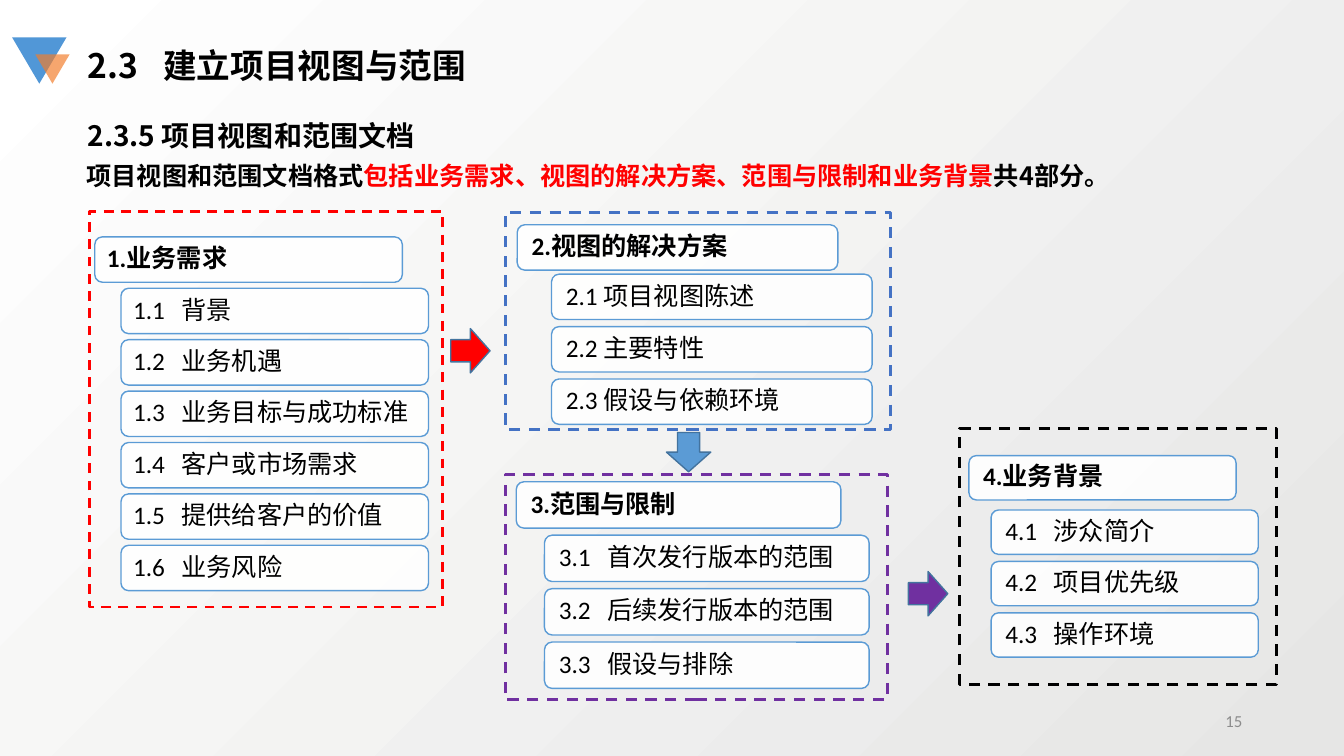
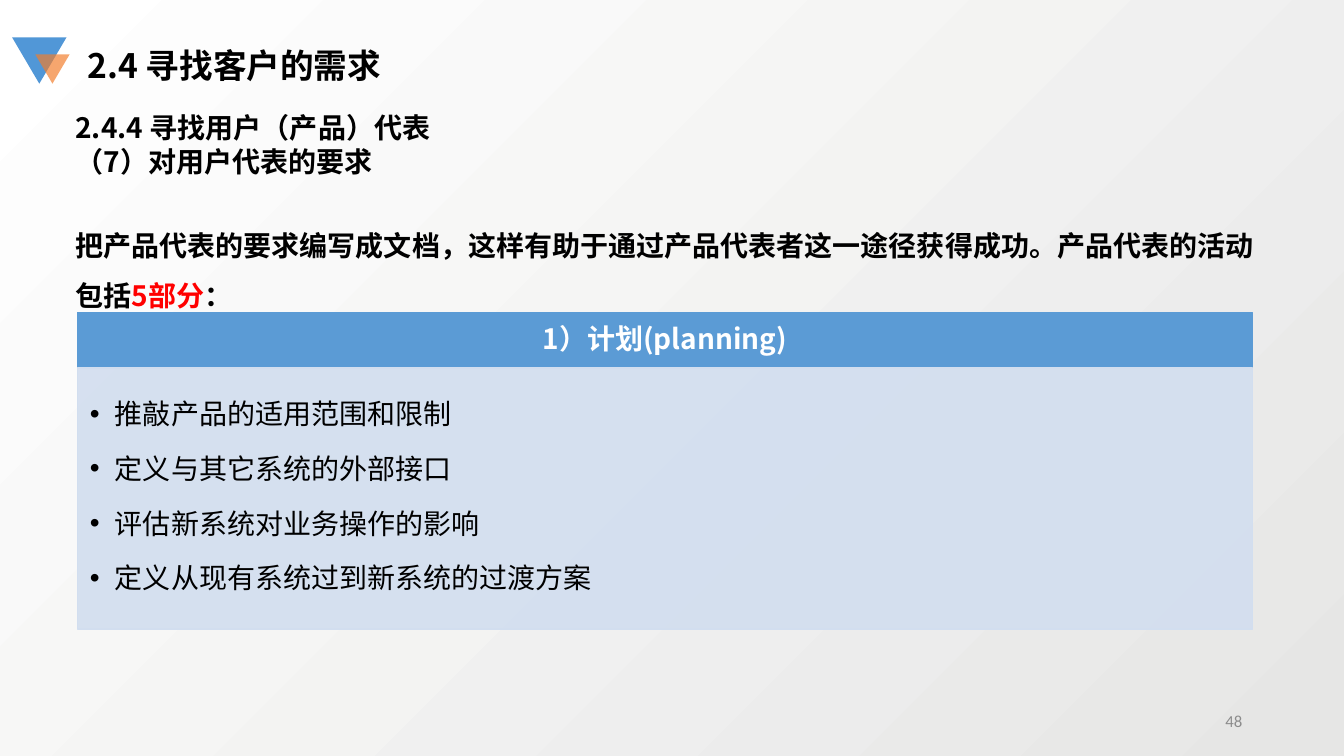
from dataclasses import dataclass

from lxml.etree import SubElement
from pptx import Presentation
from pptx.dml.color import RGBColor
from pptx.enum.dml import MSO_LINE_DASH_STYLE as Dash
from pptx.enum.shapes import MSO_SHAPE as Preset
from pptx.enum.text import MSO_ANCHOR as Anchor, MSO_AUTO_SIZE as AutoSize, PP_ALIGN as Align
from pptx.oxml.ns import qn
from pptx.util import Inches, Pt


@dataclass(frozen=True)
class Theme:
    heading_font: str = "Noto Sans CJK SC"
    box_font: str = "Calibri"
    title_size: int = 24
    heading_size: int = 20
    body_size: int = 18
    number_size: int = 12
    black: str = "000000"
    white: str = "FFFFFF"
    red: str = "FF0000"
    blue: str = "5B9BD5"
    frame_blue: str = "4472C4"
    purple: str = "7030A0"
    pale_blue: str = "D2DEEF"
    arrow_line: str = "43739E"
    logo_blue: str = "5197D7"
    logo_orange: str = "F37D2A"
    number_gray: str = "8C8C8C"
    background_gray: str = "E6E6E5"


THEME = Theme()


@dataclass(frozen=True)
class Section:
    frame: tuple
    color: str
    frame_width: float
    heading_at: tuple
    items_at: tuple
    pitch: float
    inset: float
    heading: str
    items: tuple


SECTIONS = (
    Section((0.89, 2.1, 3.5, 3.92), THEME.red, 1.75, (0.94, 2.35, 3.05, 0.45),
            (1.2, 2.86), 0.51, 0.1, "1.业务需求",
            ("1.1\t背景", "1.2\t业务机遇", "1.3\t业务目标与成功标准",
             "1.4\t客户或市场需求", "1.5\t提供给客户的价值", "1.6\t业务风险")),
    Section((5.01, 2.11, 3.82, 2.15), THEME.frame_blue, 2, (5.13, 2.23, 3.18, 0.45),
            (5.47, 2.72), 0.52, 0.12, "2.视图的解决方案",
            ("2.1 项目视图陈述", "2.2 主要特性", "2.3 假设与依赖环境")),
    Section((5.01, 4.71, 3.79, 2.23), THEME.purple, 2, (5.12, 4.78, 3.22, 0.46),
            (5.4, 5.31), 0.53, 0.12, "3.范围与限制",
            ("3.1\t首次发行版本的范围", "3.2\t后续发行版本的范围", "3.3\t假设与排除")),
    Section((9.52, 4.25, 3.14, 2.54), THEME.black, 2, (9.61, 4.52, 2.65, 0.44),
            (9.83, 5.06), 0.51, 0.12, "4.业务背景",
            ("4.1\t涉众简介", "4.2\t项目优先级", "4.3\t操作环境")),
)


class Deck:
    """Holds the theme and the current slide, and draws each kind of element."""

    def __init__(self, theme):
        self.theme = theme
        self.presentation = Presentation()
        self.presentation.slide_width = Inches(13.33)
        self.presentation.slide_height = Inches(7.5)
        self.slide = None
        fill = self.presentation.slide_master.background.fill
        fill.gradient()
        fill.gradient_angle = 135
        for stop, color in zip(fill.gradient_stops, (theme.background_gray, theme.white)):
            stop.color.rgb = RGBColor.from_string(color)

    def add_slide(self, title, number):
        theme = self.theme
        self.slide = self.presentation.slides.add_slide(self.presentation.slide_layouts[5])
        for at, color, opacity in (((0.12, 0.37, 0.54, 0.46), theme.logo_blue, 100),
                                   ((0.35, 0.54, 0.34, 0.29), theme.logo_orange, 68)):
            self.shape(Preset.ISOSCELES_TRIANGLE, at, color, opacity=opacity).rotation = 180
        placeholder = self.slide.shapes.title
        placeholder.left, placeholder.top, placeholder.width, placeholder.height = map(
            Inches, (0.77, 0.4, 5.78, 0.5))
        self.frame(placeholder, Anchor.TOP)
        self.add_runs(placeholder, [[(title, theme.black)]], theme.title_size, bold=True,
                      tab=0.75)
        self.text((9.42, 6.95, 3, 0.4), [[(number, theme.number_gray)]], theme.number_size,
                  font=theme.box_font, align=Align.RIGHT, anchor=Anchor.MIDDLE)

    def frame(self, shape, anchor, inset=(0.1, 0.05, 0.1, 0.05)):
        frame = shape.text_frame
        frame.word_wrap = True
        frame.auto_size = AutoSize.NONE
        frame.vertical_anchor = anchor
        (frame.margin_left, frame.margin_top,
         frame.margin_right, frame.margin_bottom) = map(Inches, inset)

    def add_runs(self, shape, paragraphs, size, font=None, bold=False, align=Align.LEFT,
                 spacing=1.0, after=0, bullet=False, tab=None):
        frame = shape.text_frame
        for index, runs in enumerate(paragraphs):
            paragraph = frame.paragraphs[0] if index == 0 else frame.add_paragraph()
            paragraph.alignment = align
            paragraph.line_spacing = spacing
            paragraph.space_before = Pt(0)
            paragraph.space_after = Pt(after)
            properties = paragraph._p.get_or_add_pPr()
            if bullet:
                properties.set("marL", str(Inches(0.25)))
                properties.set("indent", str(-Inches(0.25)))
                SubElement(properties, qn("a:buFont"), typeface="Arial")
                SubElement(properties, qn("a:buChar"), char="•")
            if tab and any("\t" in text for text, _ in runs):
                tabs = SubElement(properties, qn("a:tabLst"))
                SubElement(tabs, qn("a:tab"), pos=str(Inches(tab)), algn="l")
            for text, color in runs:
                run = paragraph.add_run()
                run.text = text
                run.font.size = Pt(size)
                run.font.bold = bold
                run.font.name = font or self.theme.heading_font
                run.font.color.rgb = RGBColor.from_string(color)
                SubElement(run._r.get_or_add_rPr(), qn("a:ea"),
                           typeface=self.theme.heading_font)

    def text(self, at, paragraphs, size, anchor=Anchor.TOP, **style):
        box = self.slide.shapes.add_textbox(*map(Inches, at))
        self.frame(box, anchor)
        self.add_runs(box, paragraphs, size, **style)

    def shape(self, preset, at, fill=None, line=None, width=1, opacity=100, dash=None):
        shape = self.slide.shapes.add_shape(preset, *map(Inches, at))
        shape.shadow.inherit = False
        if fill:
            shape.fill.solid()
            shape.fill.fore_color.rgb = RGBColor.from_string(fill)
            if opacity < 100:
                color = shape.element.spPr.find(qn("a:solidFill")).find(qn("a:srgbClr"))
                SubElement(color, qn("a:alpha"), val=str(opacity * 1000))
        else:
            shape.fill.background()
        if line:
            shape.line.color.rgb = RGBColor.from_string(line)
            shape.line.width = Pt(width)
            shape.line.dash_style = dash
        else:
            shape.line.fill.background()
        return shape

    def box(self, at, text, inset, bold=False):
        theme = self.theme
        box = self.shape(Preset.ROUNDED_RECTANGLE, at, theme.white, theme.blue, opacity=90)
        self.frame(box, Anchor.MIDDLE, (inset,) * 4)
        self.add_runs(box, [[(text, theme.black)]], theme.body_size, font=theme.box_font,
                      bold=bold, spacing=0.9, tab=0.48)

    def section(self, section):
        self.box(section.heading_at, section.heading, section.inset, bold=True)
        left, top = section.items_at
        for index, item in enumerate(section.items):
            at = (left, top + index * section.pitch, *section.heading_at[2:])
            self.box(at, item, section.inset)
        self.shape(Preset.RECTANGLE, section.frame, line=section.color,
                   width=section.frame_width, dash=Dash.DASH)

    def arrow(self, preset, at, color):
        self.shape(preset, at, color, self.theme.arrow_line)

    def panel(self, at, color, paragraphs, anchor, inset, opacity=100, **style):
        panel = self.shape(Preset.RECTANGLE, at, color, color, opacity=opacity)
        self.frame(panel, anchor, inset)
        self.add_runs(panel, paragraphs, self.theme.heading_size, **style)


def scope_document(deck):
    theme = deck.theme
    deck.add_slide("2.3\t建立项目视图与范围", "15")
    deck.text((0.77, 1.13, 8.49, 0.44), [[("2.3.5 项目视图和范围文档", theme.black)]],
              theme.heading_size, bold=True)
    deck.text((0.76, 1.54, 11.06, 0.4),
              [[("项目视图和范围文档格式", theme.black),
                ("包括业务需求、视图的解决方案、范围与限制和业务背景", theme.red),
                ("共4部分。", theme.black)]], theme.body_size, bold=True)
    for section in SECTIONS:
        deck.section(section)
    deck.arrow(Preset.RIGHT_ARROW, (4.47, 3.26, 0.39, 0.44), theme.red)
    deck.arrow(Preset.DOWN_ARROW, (6.61, 4.29, 0.44, 0.39), theme.blue)
    deck.arrow(Preset.RIGHT_ARROW, (9.01, 5.67, 0.39, 0.44), theme.purple)


def user_representatives(deck):
    theme = deck.theme
    deck.add_slide("2.4 寻找客户的需求", "48")
    deck.text((0.65, 1.05, 9.19, 0.77),
              [[("2.4.4 寻找用户（产品）代表", theme.black)],
               [("（7）对用户代表的要求", theme.black)]], theme.heading_size, bold=True)
    deck.text((0.65, 2.05, 11.9, 1.03),
              [[("把产品代表的要求编写成文档，这样有助于通过产品代表者这一途径获得成功。"
                 "产品代表的活动包括", theme.black),
                ("5部分", theme.red), ("：", theme.black)]],
              theme.heading_size, bold=True, spacing=1.5)
    deck.panel((0.77, 3.1, 11.65, 0.55), theme.blue, [[("1）计划(planning)", theme.white)]],
               Anchor.MIDDLE, (0.16, 0.09, 0.16, 0.09), bold=True, align=Align.CENTER,
               spacing=0.9)
    activities = ("推敲产品的适用范围和限制", "定义与其它系统的外部接口",
                  "评估新系统对业务操作的影响", "定义从现有系统过到新系统的过渡方案")
    deck.panel((0.77, 3.65, 11.65, 2.59), theme.pale_blue,
               [[(activity, theme.black)] for activity in activities],
               Anchor.TOP, (0.12, 0.12, 0.16, 0.17), opacity=90, spacing=1.5, after=3,
               bullet=True)


def main():
    deck = Deck(THEME)
    scope_document(deck)
    user_representatives(deck)
    deck.presentation.save("out.pptx")


if __name__ == "__main__":
    main()
